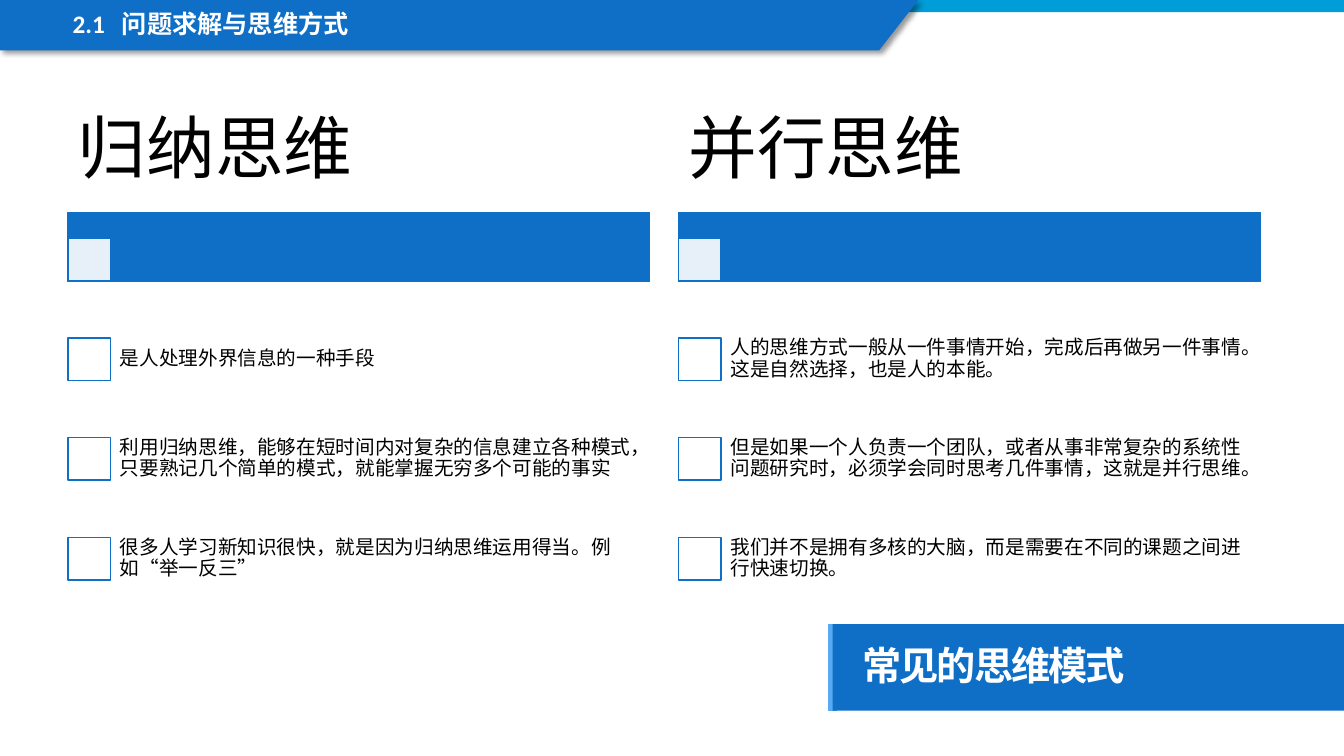
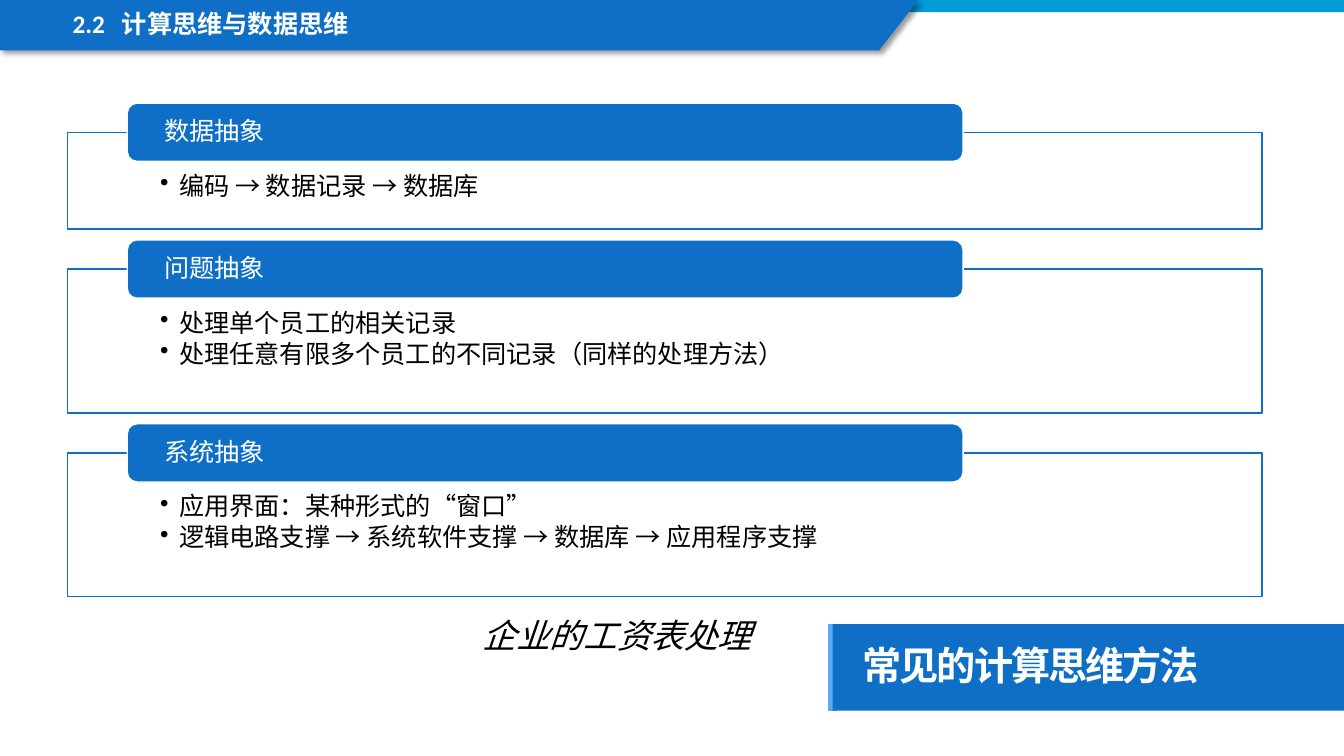
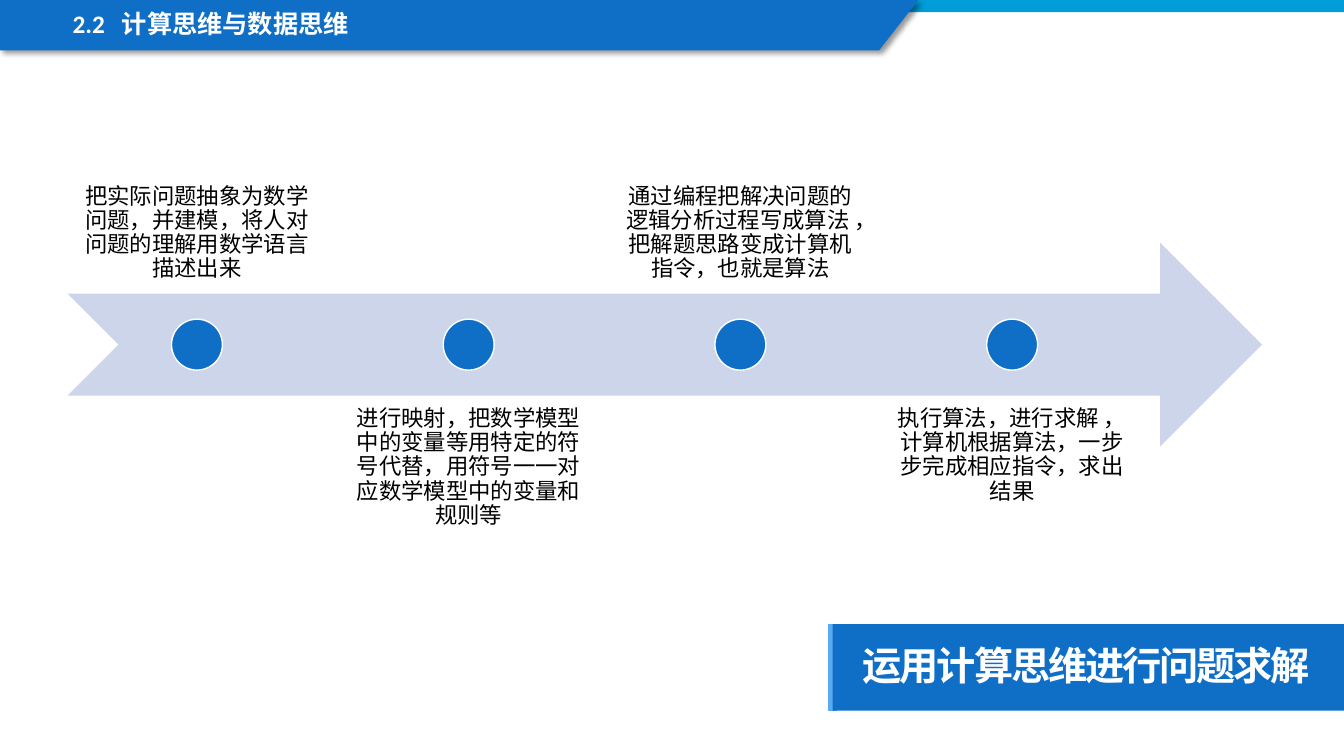
import pptx
import pptx.dml.color
import pptx.enum.lang
import pptx.enum.shapes
import pptx.enum.text
import pptx.oxml
import pptx.oxml.ns
import pptx.util
from lxml import etree

Pt = pptx.util.Pt
SHAPE = pptx.enum.shapes.MSO_SHAPE
ANCHOR = pptx.enum.text.MSO_ANCHOR
ALIGN = pptx.enum.text.PP_ALIGN
CHINESE = pptx.enum.lang.MSO_LANGUAGE_ID.SIMPLIFIED_CHINESE
qn = pptx.oxml.ns.qn

COLORS = {
    "blue": "0F6FC6",
    "light_blue": "59AAF2",
    "cyan": "009DD9",
    "pale": "CCD5EA",
    "white": "FFFFFF",
    "black": "000000",
}
LATIN = "Calibri"
CJK = "Noto Sans CJK SC"
SLIDE_WIDTH, SLIDE_HEIGHT = 960, 540


def rgb(name):
    return pptx.dml.color.RGBColor.from_string(COLORS[name])


def sub_element(parent, tag, **attributes):
    return etree.SubElement(parent, qn(tag), attributes)


# Text
def write_text(shape, text, size=18, font=LATIN, color="black", bold=False,
               italic=False, spacing=None, align=ALIGN.LEFT, anchor=ANCHOR.TOP,
               insets=(7.2, 3.6, 7.2, 3.6), line_spacing=0.9, space_after=0,
               bullet_indent=None, tab_stop=None, wrap=True):
    """Write one paragraph for each line of the text."""
    frame = shape.text_frame
    frame.word_wrap = wrap
    frame.vertical_anchor = anchor
    (frame.margin_left, frame.margin_top,
     frame.margin_right, frame.margin_bottom) = map(Pt, insets)
    for index, line in enumerate(text.split("\n")):
        paragraph = frame.add_paragraph() if index else frame.paragraphs[0]
        paragraph.alignment = align
        paragraph.line_spacing = line_spacing
        paragraph.space_after = Pt(space_after)
        properties = paragraph._p.get_or_add_pPr()
        if bullet_indent:
            properties.set("marL", str(Pt(bullet_indent)))
            properties.set("indent", str(-Pt(bullet_indent)))
            sub_element(properties, "a:buChar", char="•")
        if tab_stop:
            tabs = sub_element(properties, "a:tabLst")
            sub_element(tabs, "a:tab", pos=str(Pt(tab_stop)), algn="l")
        run = paragraph.add_run()
        run.text = line
        run.font.size = Pt(size)
        run.font.name = font
        run.font.bold = bold
        run.font.italic = italic
        run.font.language_id = CHINESE
        run.font.color.rgb = rgb(color)
        run_properties = run._r.get_or_add_rPr()
        sub_element(run_properties, "a:ea", typeface=CJK)
        if spacing:
            run_properties.set("spc", str(int(spacing * 100)))


def add_text(slide, left, top, width, height, text, **text_format):
    box = slide.shapes.add_textbox(Pt(left), Pt(top), Pt(width), Pt(height))
    write_text(box, text, **text_format)


# Shapes
def paint(shape, fill, line=None, opacity=None):
    shape.shadow.inherit = False
    shape.fill.solid()
    shape.fill.fore_color.rgb = rgb(fill)
    if opacity:
        color = shape._element.spPr.find(qn("a:solidFill"))[0]
        sub_element(color, "a:alpha", val=str(opacity * 1000))
    if line:
        shape.line.color.rgb = rgb(line)
        shape.line.width = Pt(1)
    else:
        shape.line.fill.background()


def add_box(slide, kind, left, top, width, height, fill, line=None, opacity=None):
    shape = slide.shapes.add_shape(kind, Pt(left), Pt(top), Pt(width), Pt(height))
    paint(shape, fill, line, opacity)
    return shape


def add_line(slide, x1, y1, x2, y2, color, width):
    line = slide.shapes.add_connector(
        pptx.enum.shapes.MSO_CONNECTOR.STRAIGHT, Pt(x1), Pt(y1), Pt(x2), Pt(y2))
    line.line.color.rgb = rgb(color)
    line.line.width = Pt(width)
    sub_element(line._element.spPr, "a:effectLst")


def add_shadow(shape, blur, distance, angle, opacity):
    effects = shape._element.spPr.find(qn("a:effectLst"))
    shadow = sub_element(effects, "a:outerShdw", blurRad=str(Pt(blur)),
                         dist=str(Pt(distance)), dir=str(angle * 60000),
                         algn="tl", rotWithShape="0")
    color = sub_element(shadow, "a:srgbClr", val=COLORS["black"])
    sub_element(color, "a:alpha", val=str(opacity * 1000))


# Parts shared by all slides
def add_base_slide(presentation, section, caption):
    slide = presentation.slides.add_slide(presentation.slide_layouts[6])
    panel_left, panel_top, panel_height = 594.7, 445.9, 61.7
    add_line(slide, panel_left, panel_top + panel_height, panel_left, panel_top,
             "light_blue", 6)
    add_box(slide, SHAPE.RECTANGLE, 0, 0, SLIDE_WIDTH, 8.8, "cyan")
    builder = slide.shapes.build_freeform(0, 0, scale=Pt(1))
    builder.add_line_segments([(656, 0), (628.5, 36), (0, 36)], close=True)
    band = builder.convert_to_shape()
    paint(band, "blue")
    add_shadow(band, blur=4, distance=3, angle=45, opacity=40)
    panel = add_box(slide, SHAPE.RECTANGLE, panel_left, panel_top,
                    SLIDE_WIDTH - panel_left, panel_height, "blue")
    write_text(panel, caption, size=28, font=CJK, color="white", bold=True,
               spacing=-1.5, anchor=ANCHOR.MIDDLE, insets=(21.6, 14.4, 14.4, 14.4))
    add_text(slide, 44.8, 5, 501, 27.4, section, color="white", bold=True,
             tab_stop=35.3)
    return slide


# Slide content
def add_checklist(slide, left, title, items):
    box_size, row_height, first_row = 30.4, 71.25, 221
    add_box(slide, SHAPE.RECTANGLE, left, 152, 415.5, 49, "blue", "blue")
    add_box(slide, SHAPE.RECTANGLE, left, 170.3, box_size, box_size,
            "white", "blue", opacity=90)
    add_text(slide, left, 64, 415.5, 88, title, size=49, font=CJK,
             anchor=ANCHOR.MIDDLE, insets=(7.2, 5, 7.2, 5))
    for index, item in enumerate(items):
        top = first_row + index * row_height
        add_box(slide, SHAPE.RECTANGLE, left, top + (row_height - box_size) / 2,
                box_size, box_size, "white", "blue")
        add_text(slide, left + 29.1, top, 386.6, row_height, item, size=14,
                 font=CJK, anchor=ANCHOR.MIDDLE, insets=(8, 8, 8, 8))


def add_titled_frame(slide, top, height, title, body):
    frame = add_box(slide, SHAPE.RECTANGLE, 48.2, top, 853.2, height,
                    "white", "blue", opacity=90)
    write_text(frame, body, bullet_indent=13.5, space_after=2.7,
               insets=(66.2, 29.5, 66.2, 10))
    tab = add_box(slide, SHAPE.ROUNDED_RECTANGLE, 90.9, top - 20.8, 597, 41.6,
                  "blue", "white")
    write_text(tab, title, color="white", anchor=ANCHOR.MIDDLE,
               insets=(24.5, 0, 24.5, 0))


def add_timeline(slide, steps):
    left, middle, arrow_height = 48.2, 246.2, 145.6
    pitch, width, dot = 194.1, 185, 36.4
    add_box(slide, SHAPE.NOTCHED_RIGHT_ARROW, left, middle - arrow_height / 2,
            853.2, arrow_height, "pale")
    for index, step in enumerate(steps):
        step_left = left + index * pitch
        below = index % 2 == 1
        add_text(slide, step_left, 282.4 if below else 64, width, arrow_height,
                 step, size=16, align=ALIGN.CENTER,
                 anchor=ANCHOR.TOP if below else ANCHOR.BOTTOM,
                 insets=(8.6, 8.6, 8.6, 8.6))
        add_box(slide, SHAPE.OVAL, step_left + (width - dot) / 2,
                middle - dot / 2, dot, dot, "blue", "white")


def main():
    presentation = pptx.Presentation()
    presentation.slide_width = Pt(SLIDE_WIDTH)
    presentation.slide_height = Pt(SLIDE_HEIGHT)

    # Thinking patterns
    slide = add_base_slide(presentation, "2.1\t问题求解与思维方式", "常见的思维模式")
    add_checklist(slide, 48.6, "归纳思维", [
        "是人处理外界信息的一种手段",
        "利用归纳思维，能够在短时间内对复杂的信息建立各种模式，只要熟记几个简单的模式，就能掌握无穷多个可能的事实",
        "很多人学习新知识很快，就是因为归纳思维运用得当。例如“举一反三”",
    ])
    add_checklist(slide, 484.8, "并行思维", [
        "人的思维方式一般从一件事情开始，完成后再做另一件事情。这是自然选择，也是人的本能。",
        "但是如果一个人负责一个团队，或者从事非常复杂的系统性问题研究时，必须学会同时思考几件事情，这就是并行思维。",
        "我们并不是拥有多核的大脑，而是需要在不同的课题之间进行快速切换。",
    ])

    # Kinds of abstraction
    section = "2.2\t计算思维与数据思维"
    slide = add_base_slide(presentation, section, "常见的计算思维方法")
    top, gap = 94.5, 28.5
    for height, title, body in [
        (69.2, "数据抽象", "编码 → 数据记录 → 数据库"),
        (102.8, "问题抽象",
         "处理单个员工的相关记录\n处理任意有限多个员工的不同记录（同样的处理方法）"),
        (102.8, "系统抽象",
         "应用界面：某种形式的“窗口”\n逻辑电路支撑 → 系统软件支撑 → 数据库 → 应用程序支撑"),
    ]:
        add_titled_frame(slide, top, height, title, body)
        top += height + gap
    add_text(slide, 337.7, 435.6, 208, 36, "企业的工资表处理", size=24,
             italic=True, line_spacing=1.0, wrap=False)

    # Steps of problem solving
    slide = add_base_slide(presentation, section, "运用计算思维进行问题求解")
    add_timeline(slide, [
        "把实际问题抽象为数学问题，并建模，将人对问题的理解用数学语言描述出来",
        "进行映射，把数学模型中的变量等用特定的符号代替，用符号一一对应数学模型中的变量和规则等",
        "通过编程把解决问题的逻辑分析过程写成算法 ，把解题思路变成计算机指令，也就是算法",
        "执行算法，进行求解 ，计算机根据算法，一步步完成相应指令，求出结果",
    ])

    presentation.save("out.pptx")


if __name__ == "__main__":
    main()
